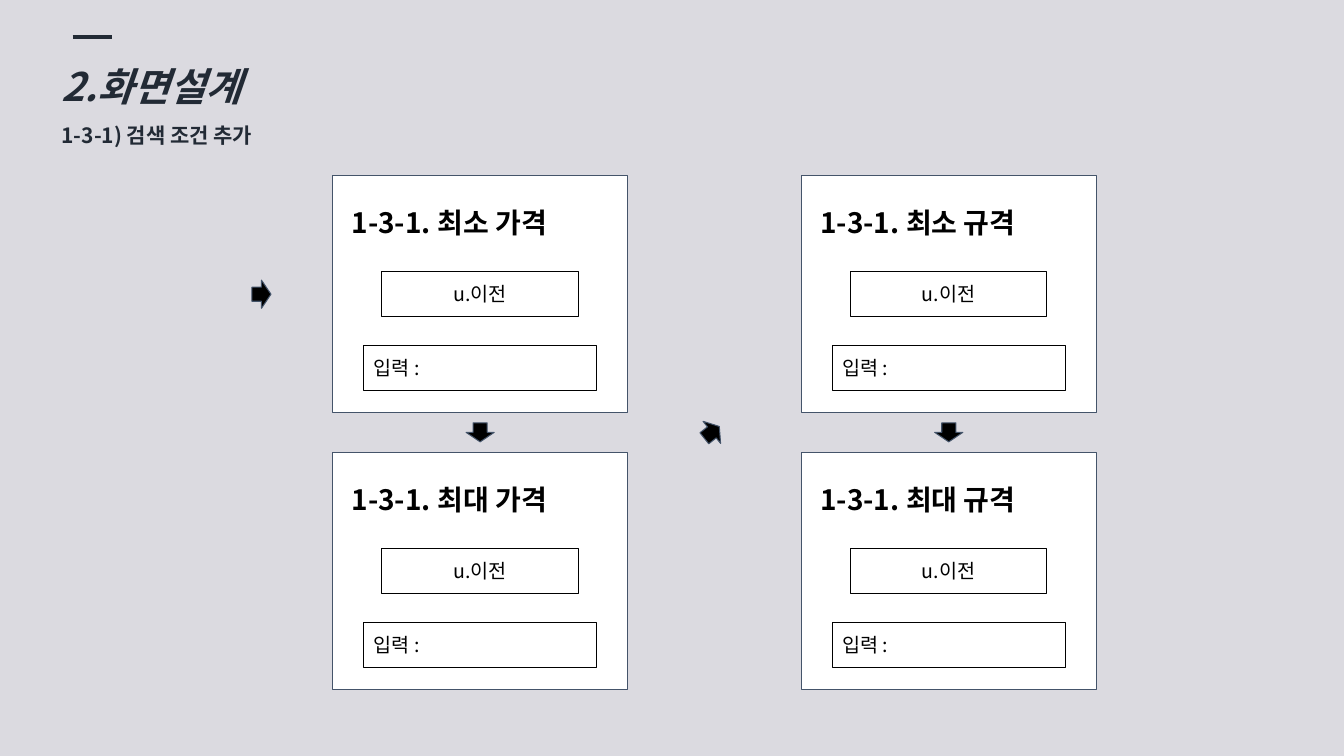
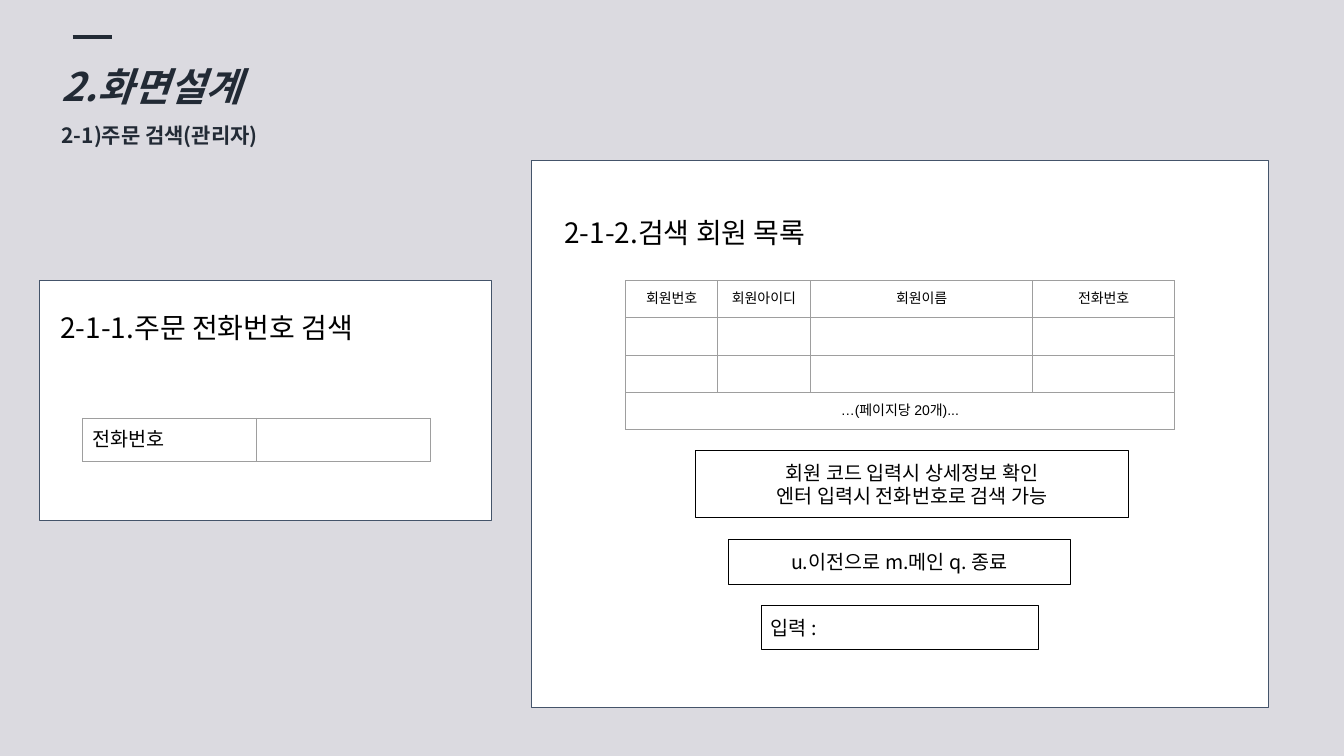
from dataclasses import dataclass

from lxml import etree
from pptx import Presentation
from pptx.dml.color import RGBColor
from pptx.enum.shapes import MSO_CONNECTOR, MSO_SHAPE
from pptx.enum.text import MSO_ANCHOR, PP_ALIGN
from pptx.oxml.ns import qn
from pptx.util import Cm, Pt

RECT, ARROW = MSO_SHAPE.RECTANGLE, MSO_SHAPE.RIGHT_ARROW
STRAIGHT = MSO_CONNECTOR.STRAIGHT
LEFT, CENTER = PP_ALIGN.LEFT, PP_ALIGN.CENTER
TOP, MIDDLE = MSO_ANCHOR.TOP, MSO_ANCHOR.MIDDLE


@dataclass(frozen=True)
class Theme:
    background: str = "DBDAE0"
    heading: str = "222A35"
    ink: str = "000000"
    card: str = "FFFFFF"
    card_line: str = "44546A"
    grid: str = "9E9E9E"
    font: str = "Noto Sans CJK KR"
    table_font: str = "Arial"
    title_size: int = 28
    card_size: int = 20
    subtitle_size: int = 15
    body_size: int = 14
    small_size: int = 10
    thin: float = 0.75
    thick: float = 3
    inset: float = 0.25
    title_inset: float = 0.13
    box_height: float = 1.13


def rgb(color):
    return RGBColor.from_string(color)


class Deck:
    def __init__(self, theme):
        self.t = theme
        self.prs = Presentation()
        self.prs.slide_width, self.prs.slide_height = Cm(33.87), Cm(19.05)
        self.s = None

    # Text
    def style(self, p, size, color=None, name=None, bold=False, italic=False,
              align=LEFT):
        p.alignment = align
        f = p.font
        f.size, f.bold, f.italic = Pt(size), bold, italic
        f.color.rgb = rgb(color or self.t.ink)
        f.name = name or self.t.font
        # East Asian glyphs need their own typeface entry
        latin = p._p.pPr.find(qn("a:defRPr")).find(qn("a:latin"))
        ea = etree.Element(qn("a:ea"), typeface=f.name)
        latin.addnext(ea)

    def frame(self, tf, anchor=TOP, inset=None):
        tf.word_wrap = True
        tf.vertical_anchor = anchor
        tf.margin_left = tf.margin_right = Cm(self.t.inset)
        tf.margin_top = tf.margin_bottom = Cm(inset or self.t.inset)

    def label(self, text, x, y, w, h, bold):
        tf = self.s.shapes.add_textbox(Cm(x), Cm(y), Cm(w), Cm(h)).text_frame
        self.frame(tf)
        tf.text = text
        self.style(tf.paragraphs[0], self.t.card_size, bold=bold)

    # Slide with heading
    def slide(self, subtitle):
        t = self.t
        self.s = self.prs.slides.add_slide(self.prs.slide_layouts[6])
        fill = self.s.background.fill
        fill.solid()
        fill.fore_color.rgb = rgb(t.background)
        tf = self.s.shapes.add_textbox(
            Cm(1.3), Cm(0.86), Cm(10.92), Cm(2.9)).text_frame
        self.frame(tf, inset=t.title_inset)
        tf.text = "2.화면설계\n" + subtitle
        sizes = (t.title_size, t.subtitle_size)
        for p, size in zip(tf.paragraphs, sizes):
            p.line_spacing = 1.5
            self.style(p, size, t.heading, bold=True,
                       italic=size == t.title_size)
        bar = self.s.shapes.add_connector(
            STRAIGHT, Cm(1.83), Cm(0.94), Cm(2.82), Cm(0.94))
        bar.line.color.rgb = rgb(t.heading)
        bar.line.width = Pt(t.thick)
        etree.SubElement(bar._element.spPr, qn("a:effectLst"))

    # Shapes
    def shape(self, kind, x, y, w, h, line, fill=None):
        sp = self.s.shapes.add_shape(kind, Cm(x), Cm(y), Cm(w), Cm(h))
        sp.shadow.inherit = False
        if fill:
            sp.fill.solid()
            sp.fill.fore_color.rgb = rgb(fill)
        else:
            sp.fill.background()
        sp.line.color.rgb = rgb(line)
        sp.line.width = Pt(self.t.thin)
        return sp

    def card(self, x, y, w, h, title, dx, dy, title_width, bold=False):
        self.shape(RECT, x, y, w, h, self.t.card_line, self.t.card)
        self.label(title, x + dx, y + dy, title_width, 1.37, bold)

    def box(self, text, x, y, w, h=None, align=CENTER):
        sp = self.shape(RECT, x, y, w, h or self.t.box_height, self.t.ink)
        tf = sp.text_frame
        self.frame(tf, MIDDLE)
        tf.text = text
        for p in tf.paragraphs:
            self.style(p, self.t.body_size, align=align)

    def prompt(self, x, y, w):
        self.box("입력 :", x, y, w, align=LEFT)

    def arrow(self, x, y, rotation=0):
        sp = self.shape(ARROW, x, y, 0.48, 0.71, self.t.card_line, self.t.ink)
        sp.rotation = rotation

    # Tables
    def borders(self, cell):
        tc_pr = cell._tc.get_or_add_tcPr()
        for i, side in enumerate(("lnL", "lnR", "lnT", "lnB")):
            ln = etree.Element(qn("a:" + side), w=str(Pt(self.t.thin)))
            fill = etree.SubElement(ln, qn("a:solidFill"))
            etree.SubElement(fill, qn("a:srgbClr"), val=self.t.grid)
            tc_pr.insert(i, ln)

    def table(self, rows, x, y, widths, row_height, size, align=LEFT):
        tbl = self.s.shapes.add_table(
            len(rows), len(widths), Cm(x), Cm(y),
            Cm(sum(widths)), Cm(row_height * len(rows))).table
        tbl.first_row = tbl.horz_banding = False
        for col, width in zip(tbl.columns, widths):
            col.width = Cm(width)
        for r, texts in enumerate(rows):
            tbl.rows[r].height = Cm(row_height)
            for c in range(len(widths)):
                cell = tbl.cell(r, c)
                text = texts[c] if c < len(texts) else ""
                cell.text = text
                cell.fill.background()
                cell.margin_left = cell.margin_right = Cm(self.t.inset)
                cell.margin_top = Cm(self.t.inset if text else 0)
                cell.margin_bottom = cell.margin_top
                self.style(cell.text_frame.paragraphs[0], size,
                           name=self.t.table_font, align=align)
                self.borders(cell)
            # A single text spans the whole row
            if len(texts) == 1:
                tbl.cell(r, 0).merge(tbl.cell(r, len(widths) - 1))


def search_conditions(d):
    d.slide("1-3-1) 검색 조건 추가")
    top, pitch = 4.42, 6.98
    for x, subject in ((8.38, "가격"), (20.19, "규격")):
        for row, limit in enumerate(("최소", "최대")):
            y = top + row * pitch
            d.card(x, y, 7.44, 5.97, f"1-3-1. {limit} {subject}",
                   0.23, 0.5, 5.97, bold=True)
            d.box("u.이전", x + 1.24, y + 2.42, 4.95)
            d.prompt(x + 0.79, y + 4.28, 5.87)
        d.arrow(x + 3.48, top + 6.12, 90)
    d.arrow(17.7, top + 6.12, 321.5)
    d.arrow(6.35, 7.06)


def order_search(d):
    d.slide("2-1)주문 검색(관리자)")
    # Member list
    d.card(13.39, 4.04, 18.57, 13.79, "2-1-2.검색 회원 목록",
           0.58, 1.14, 11.43)
    d.prompt(19.18, 15.25, 6.99)
    d.box("회원 코드 입력시 상세정보 확인\n엔터 입력시 전화번호로 검색 가능",
          17.53, 11.35, 10.92, 1.7)
    d.box("u.이전으로 m.메인 q. 종료", 18.36, 13.6, 8.61)
    d.table([["회원번호", "회원아이디", "회원이름", "전화번호"], [], [],
             ["…(페이지당 20개)..."]],
            15.77, 7.07, (2.31, 2.34, 5.61, 3.56), 0.94,
            d.t.small_size, CENTER)
    # Phone number search
    d.card(0.99, 7.07, 11.4, 6.05, "2-1-1.주문 전화번호 검색",
           0.28, 0.5, 11.25)
    d.table([["전화번호", ""]], 2.08, 10.54, (4.39, 4.39), 1.09,
            d.t.body_size)


def main():
    d = Deck(Theme())
    search_conditions(d)
    order_search(d)
    d.prs.save("out.pptx")


if __name__ == "__main__":
    main()
